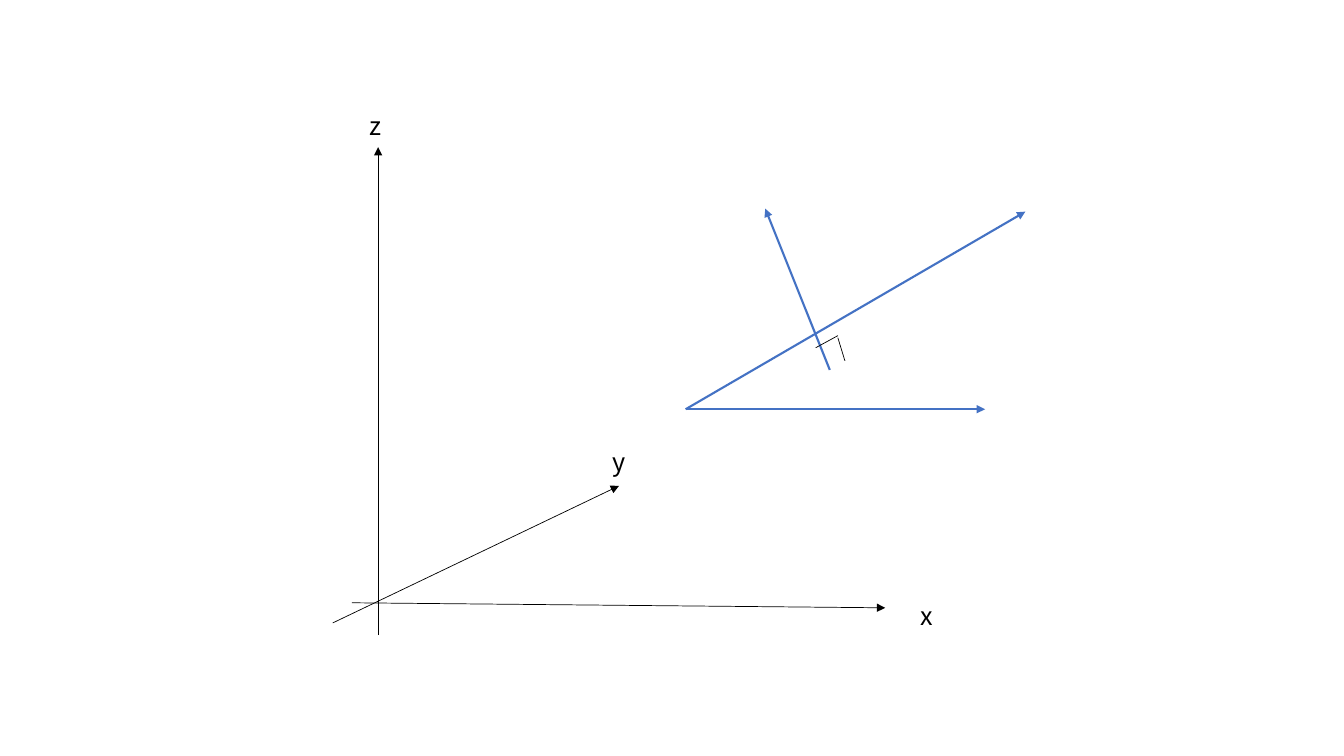
from dataclasses import dataclass

from lxml import etree
from pptx import Presentation
from pptx.dml.color import RGBColor
from pptx.enum.shapes import MSO_CONNECTOR
from pptx.enum.text import MSO_AUTO_SIZE
from pptx.oxml.ns import qn
from pptx.slide import Slide
from pptx.util import Emu, Pt

STRAIGHT = MSO_CONNECTOR.STRAIGHT
GROW = MSO_AUTO_SIZE.SHAPE_TO_FIT_TEXT

BLACK = RGBColor(0x00, 0x00, 0x00)
BLUE = RGBColor(0x44, 0x72, 0xC4)
FONT = "Noto Sans CJK JP"
EMU_PER_PX = 9144
SLIDE_WIDTH, SLIDE_HEIGHT = 1333, 750
LABEL_HEIGHT = 40


@dataclass(frozen=True)
class Stroke:
    color: RGBColor
    width: float
    arrow: bool


@dataclass(frozen=True)
class Segment:
    start: tuple[int, int]
    end: tuple[int, int]
    stroke: Stroke


@dataclass(frozen=True)
class Label:
    text: str
    left: int
    top: int
    width: int


AXIS = Stroke(BLACK, 0.5, True)
VECTOR = Stroke(BLUE, 1.5, True)
ANGLE_MARK = Stroke(BLACK, 0.5, False)
VECTOR_ORIGIN = (680, 406)

AXES_AND_PLANE = [
    Segment((349, 598), (878, 603), AXIS),
    Segment((330, 618), (614, 482), AXIS),
    Segment((375, 630), (375, 146), AXIS),
    Segment(VECTOR_ORIGIN, (977, 406), VECTOR),
    Segment(VECTOR_ORIGIN, (1017, 210), VECTOR),
]
AXIS_LABELS = [
    Label("x", 903, 591, 100),
    Label("y", 598, 438, 45),
    Label("z", 357, 105, 45),
]
NORMAL_AND_RIGHT_ANGLE = [
    Segment((823, 367), (759, 207), VECTOR),
    Segment((809, 345), (831, 333), ANGLE_MARK),
    Segment((831, 335), (838, 358), ANGLE_MARK),
]


def px(length: int) -> Emu:
    return Emu(length * EMU_PER_PX)


def draw_segment(slide: Slide, segment: Segment) -> None:
    connector = slide.shapes.add_connector(
        STRAIGHT, *map(px, segment.start + segment.end)
    )
    connector.line.color.rgb = segment.stroke.color
    connector.line.width = Pt(segment.stroke.width)
    if segment.stroke.arrow:
        outline = connector.line._get_or_add_ln()
        etree.SubElement(outline, qn("a:tailEnd"), type="triangle")
    etree.SubElement(connector._element.spPr, qn("a:effectLst"))


def draw_label(slide: Slide, label: Label) -> None:
    box = slide.shapes.add_textbox(
        px(label.left), px(label.top), px(label.width), px(LABEL_HEIGHT)
    )
    frame = box.text_frame
    frame.word_wrap = True
    frame.auto_size = GROW
    run = frame.paragraphs[0].add_run()
    run.text = label.text
    run.font.name = FONT
    run.font.size = Pt(18)
    run.font.color.rgb = BLACK


def main() -> None:
    presentation = Presentation()
    presentation.slide_width = px(SLIDE_WIDTH)
    presentation.slide_height = px(SLIDE_HEIGHT)
    slide = presentation.slides.add_slide(presentation.slide_layouts[6])
    for segment in AXES_AND_PLANE:
        draw_segment(slide, segment)
    for label in AXIS_LABELS:
        draw_label(slide, label)
    for segment in NORMAL_AND_RIGHT_ANGLE:
        draw_segment(slide, segment)
    presentation.save("out.pptx")


if __name__ == "__main__":
    main()
